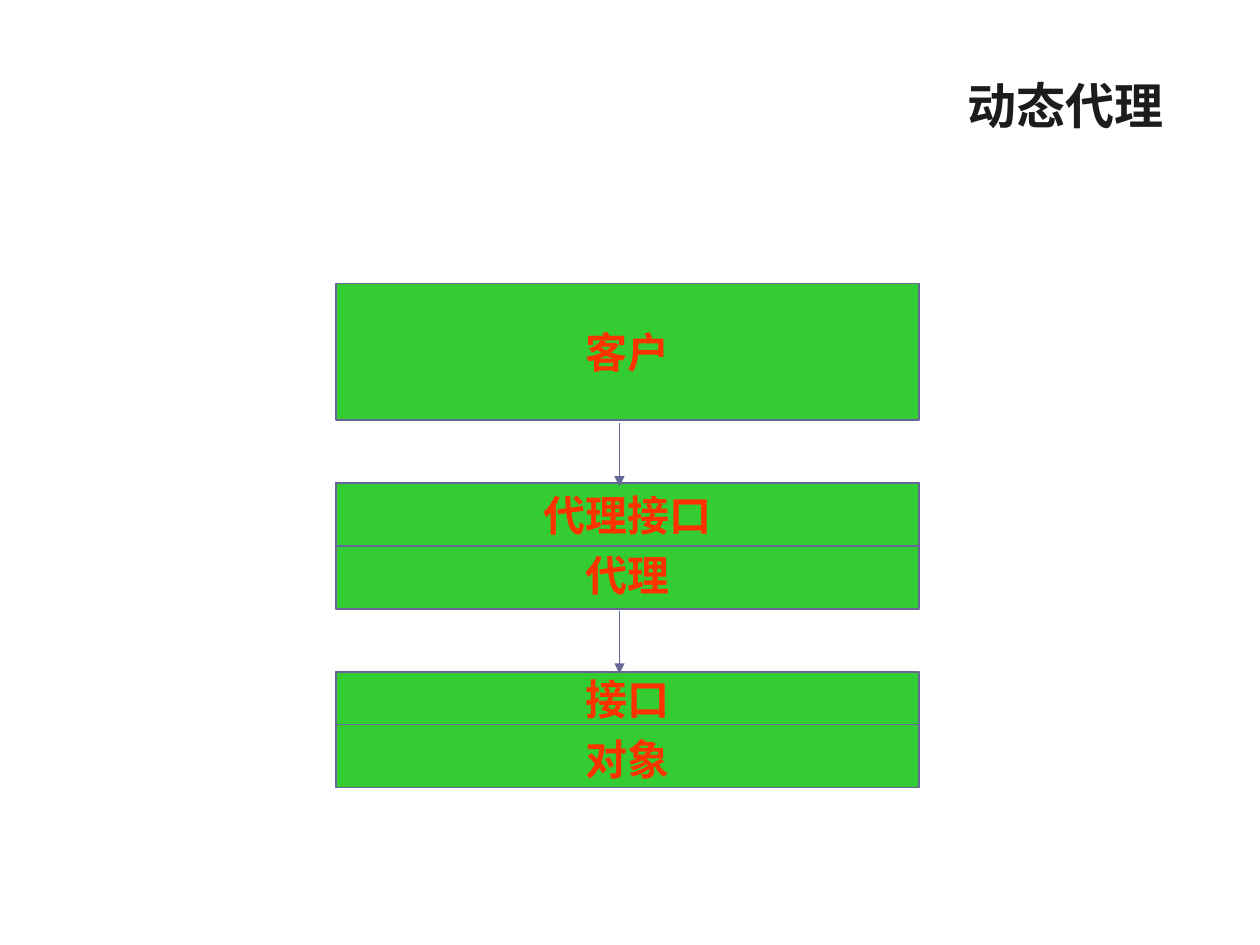
"""Build the dynamic proxy slide: client, proxy and object linked by arrows."""
from dataclasses import dataclass

from lxml.etree import SubElement
from pptx import Presentation
from pptx.dml.color import RGBColor
from pptx.enum.shapes import MSO_CONNECTOR as Connector, MSO_SHAPE as Preset
from pptx.enum.text import MSO_ANCHOR as Anchor, MSO_AUTO_SIZE as AutoSize, PP_ALIGN as Align
from pptx.oxml.ns import qn
from pptx.util import Pt


@dataclass(frozen=True)
class Theme:
    font: str = "Times New Roman"
    title_size: float = 28
    label_size: float = 24
    line_width: float = 1
    title: RGBColor = RGBColor(0x1C, 0x1C, 0x1C)
    label: RGBColor = RGBColor(0xFF, 0x33, 0x00)
    box: RGBColor = RGBColor(0x33, 0xCC, 0x33)
    line: RGBColor = RGBColor(0x66, 0x66, 0x99)
    panel: tuple = (RGBColor(0xFF, 0xFF, 0xFF), RGBColor(0xFE, 0xFE, 0xFE))


@dataclass(frozen=True)
class Box:
    text: str
    top: float
    height: float
    anchor: Anchor = Anchor.MIDDLE
    bottom_inset: float = 3.6


@dataclass(frozen=True)
class Arrow:
    top: float
    length: float = 36


THEME = Theme()
BOX_LEFT, BOX_WIDTH, ARROW_X = 192, 333, 354
BOXES = (
    Box("客户", 162, 78),
    Box("代理", 276, 72, Anchor.BOTTOM, 5),
    Box("对象", 384, 66, Anchor.BOTTOM, 2),
    Box("接口", 384, 30),
    Box("代理接口", 276, 36),
)
ARROWS = (Arrow(242), Arrow(349))


def apply_format(target, values: dict) -> None:
    for name, value in values.items():
        setattr(target, name, value)


def write_text(shape, text: str, alignment: Align, size: float, color: RGBColor, frame_values: dict) -> None:
    frame = shape.text_frame
    frame.text = text
    apply_format(frame, frame_values)
    paragraph = frame.paragraphs[0]
    paragraph.alignment = alignment
    font = paragraph.runs[0].font
    apply_format(font, {"name": THEME.font, "size": Pt(size), "bold": True})
    font.color.rgb = color


def add_panel(slide) -> None:
    panel = slide.shapes.add_shape(Preset.RECTANGLE, Pt(37), Pt(94), Pt(646), Pt(414))
    panel.shadow.inherit = False
    panel.line.fill.background()
    panel.fill.gradient()
    panel.fill.gradient_angle = 270
    for stop, color in zip(panel.fill.gradient_stops, THEME.panel):
        stop.color.rgb = color
    slide.shapes._spTree.insert(2, panel._element)


def add_title(slide, text: str) -> None:
    title = slide.shapes.title
    apply_format(title, {"left": Pt(50), "top": Pt(37.5), "width": Pt(622), "height": Pt(45)})
    write_text(title, text, Align.RIGHT, THEME.title_size, THEME.title,
               {"vertical_anchor": Anchor.MIDDLE, "auto_size": AutoSize.NONE})


def add_box(slide, box: Box) -> None:
    shape = slide.shapes.add_shape(Preset.RECTANGLE, Pt(BOX_LEFT), Pt(box.top), Pt(BOX_WIDTH), Pt(box.height))
    shape.shadow.inherit = False
    shape.fill.solid()
    shape.fill.fore_color.rgb = THEME.box
    shape.line.color.rgb = THEME.line
    shape.line.width = Pt(THEME.line_width)
    write_text(shape, box.text, Align.CENTER, THEME.label_size, THEME.label,
               {"vertical_anchor": box.anchor, "margin_bottom": Pt(box.bottom_inset), "word_wrap": False})


def add_arrow(slide, arrow: Arrow) -> None:
    connector = slide.shapes.add_connector(
        Connector.STRAIGHT, Pt(ARROW_X), Pt(arrow.top), Pt(ARROW_X), Pt(arrow.top + arrow.length))
    connector.line.color.rgb = THEME.line
    connector.line.width = Pt(THEME.line_width)
    SubElement(connector.line._get_or_add_ln(), qn("a:tailEnd"), type="triangle")
    SubElement(connector._element.spPr, qn("a:effectLst"))


def main() -> None:
    presentation = Presentation()
    apply_format(presentation, {"slide_width": Pt(720), "slide_height": Pt(540)})
    slide = presentation.slides.add_slide(presentation.slide_layouts[5])
    add_panel(slide)
    add_title(slide, "动态代理")
    for box in BOXES:
        add_box(slide, box)
    for arrow in ARROWS:
        add_arrow(slide, arrow)
    presentation.save("out.pptx")


if __name__ == "__main__":
    main()
